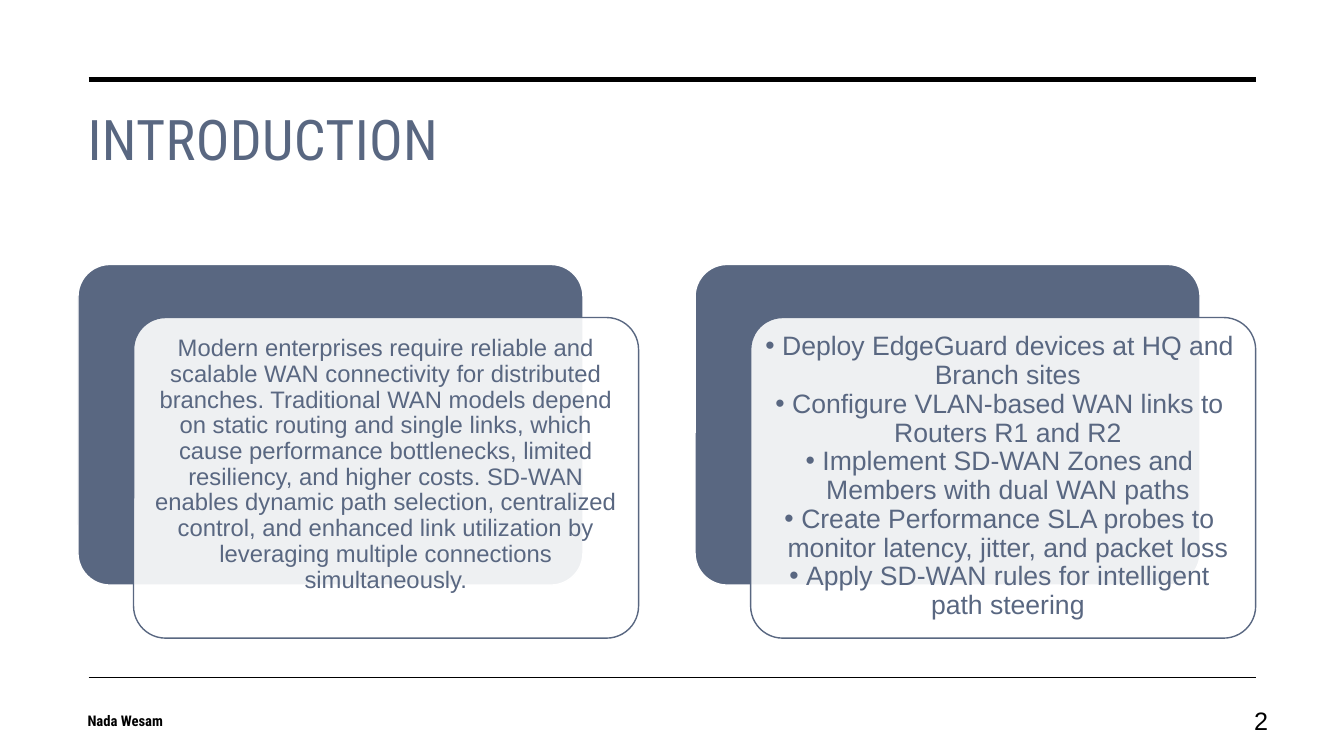
from lxml import etree
from pptx import Presentation
from pptx.dml.color import RGBColor
from pptx.enum import shapes, text
from pptx.oxml.ns import qn
from pptx.util import Pt

SLATE, WHITE, BLACK = "596781", "FFFFFF", "000000"
HEADING_FONT, BODY_FONT = "Roboto Condensed", "Arial"


def color(value):
    return RGBColor.from_string(value)


def add_text(left, top, width, height, lines, size, font, hue,
             align=text.PP_ALIGN.LEFT, anchor=text.MSO_ANCHOR.MIDDLE):
    box = page.shapes.add_textbox(Pt(left), Pt(top), Pt(width), Pt(height))
    frame = box.text_frame
    frame.word_wrap = True
    frame.vertical_anchor = anchor
    for index, line in enumerate(lines):
        para = frame.paragraphs[0] if index == 0 else frame.add_paragraph()
        para.alignment = align
        span = para.add_run()
        span.text = line
        span.font.size = Pt(size)
        span.font.name = font
        span.font.color.rgb = color(hue)
    return frame


deck = Presentation()
deck.slide_width, deck.slide_height = Pt(960), Pt(540)
page = deck.slides.add_slide(deck.slide_layouts[6])

# Title
title = add_text(55.5, 71.3, 841.7, 90.7, ["INTRODUCTION"], 40, HEADING_FONT,
                 SLATE, anchor=text.MSO_ANCHOR.TOP)
title.paragraphs[0].runs[0]._r.get_or_add_rPr().set("spc", "30")

# Rules above the title and above the footer
for y, weight in [(56.9, 3.5), (483.8, 1)]:
    rule = page.shapes.add_connector(
        shapes.MSO_CONNECTOR.STRAIGHT, Pt(63.3), Pt(y), Pt(897.1), Pt(y))
    rule.line.color.rgb = color(BLACK)
    rule.line.width = Pt(weight)
    etree.SubElement(rule._element.spPr, qn("a:effectLst"))

# Footer
author = add_text(55.5, 500.4, 357, 28.8, ["Nada Wesam"], 10.5, HEADING_FONT, BLACK)
author.paragraphs[0].runs[0].font.bold = True
add_text(859.7, 500.4, 53.3, 28.8, ["2"], 18, BODY_FONT, BLACK,
         align=text.PP_ALIGN.RIGHT)

# Two cards: a dark panel with a translucent panel in front
overview = [
    "Modern enterprises require reliable and scalable WAN connectivity for "
    "distributed branches. Traditional WAN models depend on static routing and "
    "single links, which cause performance bottlenecks, limited resiliency, and "
    "higher costs. SD-WAN enables dynamic path selection, centralized control, "
    "and enhanced link utilization by leveraging multiple connections "
    "simultaneously.",
]
goals = [
    "Deploy EdgeGuard devices at HQ and Branch sites",
    "Configure VLAN-based WAN links to Routers R1 and R2",
    "Implement SD-WAN Zones and Members with dual WAN paths",
    "Create Performance SLA probes to monitor latency, jitter, and packet loss",
    "Apply SD-WAN rules for intelligent path steering",
]
# left edge, lines, size, left and bottom insets, bulleted
cards = [
    (55.7, overview, 17, 5, 23, False),
    (496.5, goals, 19, 0, 6, True),
]
for left, lines, size, inset_left, inset_bottom, bulleted in cards:
    for offset_x, top, fill, outline in [(0, 188.9, SLATE, WHITE),
                                         (39.7, 226.8, WHITE, SLATE)]:
        panel = page.shapes.add_shape(
            shapes.MSO_SHAPE.ROUNDED_RECTANGLE,
            Pt(left + offset_x), Pt(top), Pt(360.7), Pt(229))
        panel.adjustments[0] = 0.1
        panel.shadow.inherit = False
        panel.fill.solid()
        panel.fill.fore_color.rgb = color(fill)
        panel.line.color.rgb = color(outline)
        panel.line.width = Pt(1)
    # The front panel lets a tenth of the dark one through
    tint = panel._element.spPr.find(qn("a:solidFill"))[0]
    etree.SubElement(tint, qn("a:alpha"), val="90000")

    frame = add_text(left + 46.4, 233.3, 347, 215.3, lines, size, BODY_FONT,
                     SLATE, align=text.PP_ALIGN.CENTER)
    frame.margin_left, frame.margin_right = Pt(inset_left), Pt(5)
    frame.margin_top, frame.margin_bottom = Pt(5), Pt(inset_bottom)
    for para in frame.paragraphs:
        para.line_spacing = 0.9
        if bulleted:
            props = para._p.get_or_add_pPr()
            props.set("marL", str(Pt(12)))
            props.set("indent", str(-Pt(12)))
            etree.SubElement(props, qn("a:buFont"), typeface=BODY_FONT)
            etree.SubElement(props, qn("a:buChar"), char="•")

deck.save("out.pptx")
